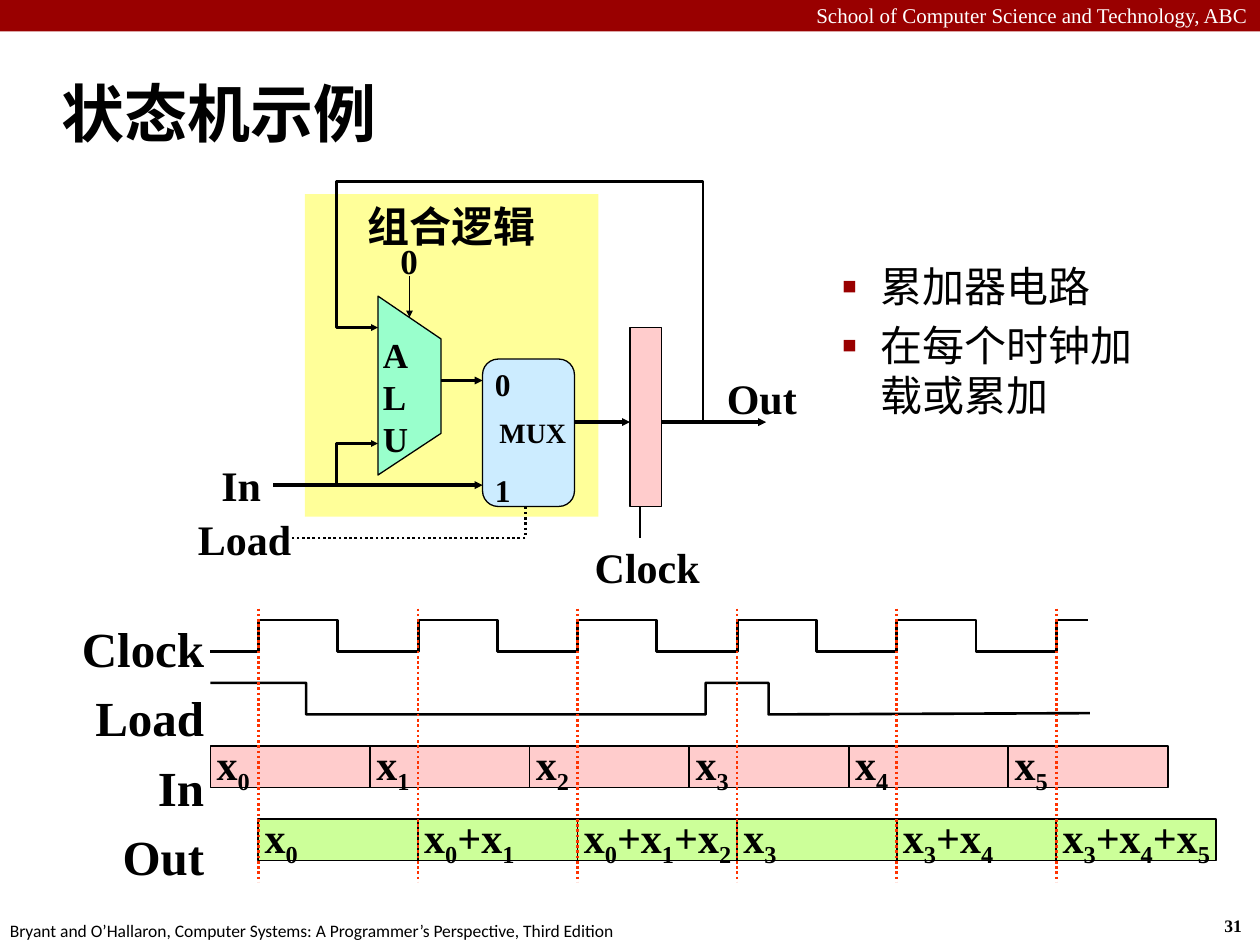
from lxml import etree
from pptx import Presentation
from pptx import util as u
from pptx.dml import color
from pptx.enum import dml, shapes, text
from pptx.oxml import ns

C = {"red": "990000", "black": "000000", "white": "FFFFFF", "yellow": "FFFF99",
     "mint": "99FFCC", "blue": "CCECFF", "pink": "FFCCCC", "green": "CCFF99",
     "edge": "FF3300"}
SERIF = "Times New Roman"
LEFT, CENTER, RIGHT = text.PP_ALIGN.LEFT, text.PP_ALIGN.CENTER, text.PP_ALIGN.RIGHT
TOP, MIDDLE = text.MSO_ANCHOR.TOP, text.MSO_ANCHOR.MIDDLE
RECT, ROUND = shapes.MSO_SHAPE.RECTANGLE, shapes.MSO_SHAPE.ROUNDED_RECTANGLE

prs = Presentation()
prs.slide_width, prs.slide_height = u.Inches(10), u.Inches(7.5)
s = prs.slides.add_slide(prs.slide_layouts[6])


def box(x, y, w, h, lines=(), size=24, font=SERIF, bold=True, ink="black", align=LEFT,
        anchor=TOP, wrap=False, inset=0.1, geom=None, fill=None, line=None, sub=False):
    """Text box, or preset shape when geom is given; sub lowers the digits."""
    at = [u.Inches(v) for v in (x, y, w, h)]
    if geom is None:
        sp = s.shapes.add_textbox(*at)
    else:
        sp = s.shapes.add_shape(geom, *at)
        sp.shadow.inherit = False
        sp.fill.solid()
        sp.fill.fore_color.rgb = color.RGBColor.from_string(C[fill])
        if line:
            sp.line.color.rgb = color.RGBColor.from_string(C["black"])
            sp.line.width = u.Pt(line)
        else:
            sp.line.fill.background()
    tf = sp.text_frame
    frame = {"word_wrap": wrap, "vertical_anchor": anchor,
             "margin_left": u.Inches(inset), "margin_right": u.Inches(inset),
             "margin_top": u.Inches(0.05), "margin_bottom": u.Inches(0.05)}
    for k, v in frame.items():
        setattr(tf, k, v)
    for i, words in enumerate(lines):
        p = tf.paragraphs[0] if i == 0 else tf.add_paragraph()
        p.alignment = align
        # Subscripted labels alternate letters and single digits
        parts = words.replace("+", " +").split() if sub else [words]
        for part in parts:
            for piece in ([part[:-1], part[-1]] if sub else [part]):
                r = p.add_run()
                r.text = piece
                for k, v in {"size": u.Pt(size), "name": font, "bold": bold}.items():
                    setattr(r.font, k, v)
                r.font.color.rgb = color.RGBColor.from_string(C[ink])
                if sub and piece.isdigit():
                    r.font._element.set("baseline", "-25000")
    return sp


def wire(points, width=1.5, ink="black", arrow=False, dotted=False, fill=None):
    """Connector for two points, freeform for more; closed when filled."""
    pts = [(u.Inches(x), u.Inches(y)) for x, y in points]
    if len(pts) == 2:
        sp = s.shapes.add_connector(shapes.MSO_CONNECTOR.STRAIGHT, *pts[0], *pts[1])
    else:
        fb = s.shapes.build_freeform(*pts[0], scale=1.0)
        fb.add_line_segments(pts[1:], close=bool(fill))
        sp = fb.convert_to_shape()
        if fill:
            sp.fill.solid()
            sp.fill.fore_color.rgb = color.RGBColor.from_string(C[fill])
        else:
            sp.fill.background()
    sp.line.color.rgb = color.RGBColor.from_string(C[ink])
    sp.line.width = u.Pt(width)
    if dotted:
        sp.line.dash_style = dml.MSO_LINE.ROUND_DOT
    if arrow:
        etree.SubElement(sp.line._get_or_add_ln(), ns.qn("a:tailEnd"),
                         type="triangle", w="sm", len="sm")
    etree.SubElement(sp._element.spPr, ns.qn("a:effectLst"))


# Header and footer
box(0, 0, 10, 0.25, geom=RECT, fill="red")
box(0, -0.03, 10, 0.3, ["School of Computer Science and Technology, ABC"], 12,
    bold=False, ink="white", align=RIGHT, wrap=True)
box(9.62, 7.21, 0.37, 0.27, ["31"], 10)
box(-0.02, 7.25, 5.08, 0.27,
    ["Bryant and O’Hallaron, Computer Systems: A Programmer’s Perspective, Third Edition"],
    10, "Calibri", False)

# Title and bullets
box(0.39, 0.48, 9.61, 0.83, ["状态机示例"], 36, "Calibri", anchor=MIDDLE, wrap=True)
sp = box(6.08, 2.02, 3.31, 1.83, ["累加器电路", "在每个时钟加载或累加"], 24, "Calibri",
         False, wrap=True)
for p in sp.text_frame.paragraphs:
    p.space_before = u.Pt(4.8)
    pPr = p._p.get_or_add_pPr()
    pPr.set("marL", str(u.Inches(0.81)))
    pPr.set("indent", str(u.Inches(-0.31)))
    clr = etree.SubElement(pPr, ns.qn("a:buClr"))
    etree.SubElement(clr, ns.qn("a:srgbClr"), val=C["red"])
    etree.SubElement(pPr, ns.qn("a:buSzPct"), val="110000")
    etree.SubElement(pPr, ns.qn("a:buFont"), typeface=SERIF)
    etree.SubElement(pPr, ns.qn("a:buChar"), char="▪")

# Circuit: blocks
box(2.42, 1.54, 2.33, 2.56, ["组合逻辑"], align=CENTER, inset=0.05, geom=RECT, fill="yellow")
wire([(3, 2.35), (3.5, 2.69), (3.5, 3.44), (3, 3.77)], 0.75, fill="mint")
sp = box(2.94, 2.6, 0.56, 0.9, ["AL", "U"], 20, wrap=True)
for p in sp.text_frame.paragraphs:
    p.line_spacing = u.Pt(24)
sp = box(3.83, 2.85, 0.73, 1.17, ["MUX"], 16, anchor=MIDDLE, geom=ROUND, fill="blue", line=0.75)
sp.adjustments[0] = 0.17
box(5, 2.6, 0.25, 1.42, geom=RECT, fill="pink", line=0.75)

# Circuit: wires
for points, width in [
        ([(5.25, 3.35), (6.08, 3.35)], 2.25),
        ([(3.25, 2.19), (3.25, 2.52)], 0.75),
        ([(2.17, 3.85), (3.83, 3.85)], 2.25),
        ([(3.5, 3.02), (3.83, 3.02)], 2.25),
        ([(4.56, 3.35), (5, 3.35)], 2.25),
        ([(2.67, 3.85), (2.67, 3.52), (3, 3.52)], 1.5),
        ([(5.25, 3.35), (5.58, 3.35), (5.58, 1.44), (2.67, 1.44), (2.67, 2.6), (3, 2.6)], 1.5)]:
    wire(points, width, arrow=True)
wire([(4.17, 4.02), (4.17, 4.27), (2.32, 4.27)], dotted=True)
wire([(5.08, 4.02), (5.08, 4.27)])

# Circuit: labels
box(3.08, 1.85, 0.32, 0.37, ["0"], 20)
for y, digit in [(2.85, "0"), (3.69, "1")]:
    box(3.83, y, 0.5, 0.33, [digit], 18, wrap=True)
box(5.67, 2.91, 0.85, 0.4, ["Out"], wrap=True)
box(4.67, 4.25, 1, 0.37, ["Clock"], inset=0.05, wrap=True)
box(1.5, 3.6, 0.67, 0.4, ["In"], align=RIGHT, wrap=True)
box(1.33, 4.03, 1.08, 0.4, ["Load"], align=RIGHT, wrap=True)

# Timing diagram: clock and load signals
START, EDGE, STEP = 1.67, 2.05, 3.8 / 3
HIGH, LOW = 4.92, 5.17
for i in range(5):
    x = START + i * STEP
    wire([(x, LOW), (x + 0.38, LOW), (x + 0.38, HIGH), (x + 1.01, HIGH), (x + 1.01, LOW),
          (x + 1.65, LOW), (x + 1.65, HIGH), (x + 1.9, HIGH)])
wire([(START, 5.42), (2.43, 5.42), (2.43, 5.67), (5.6, 5.67), (5.6, 5.42),
      (6.1, 5.42), (6.1, 5.67), (8.65, 5.66)])

# Timing diagram: input and output values
for left, y, fill, values in [
        (START, 5.92, "pink", ["x0", "x1", "x2", "x3", "x4", "x5"]),
        (EDGE, 6.5, "green", ["x0", "x0+x1", "x0+x1+x2", "x3", "x3+x4", "x3+x4+x5"])]:
    for i, value in enumerate(values):
        box(left + i * STEP, y, STEP, 0.33, [value], anchor=MIDDLE, inset=0.05,
            geom=RECT, fill=fill, line=1, sub=True)

# Timing diagram: row names and clock edges
for i, name in enumerate(["Clock", "Load", "In", "Out"]):
    box(0.39, 4.86 + i * 0.55, 1.28, 0.34, [name], 28, align=RIGHT, wrap=True, inset=0.05)
for i in range(6):
    x = EDGE + i * STEP
    wire([(x, 4.83), (x, 7)], ink="edge", dotted=True)

prs.save("out.pptx")
